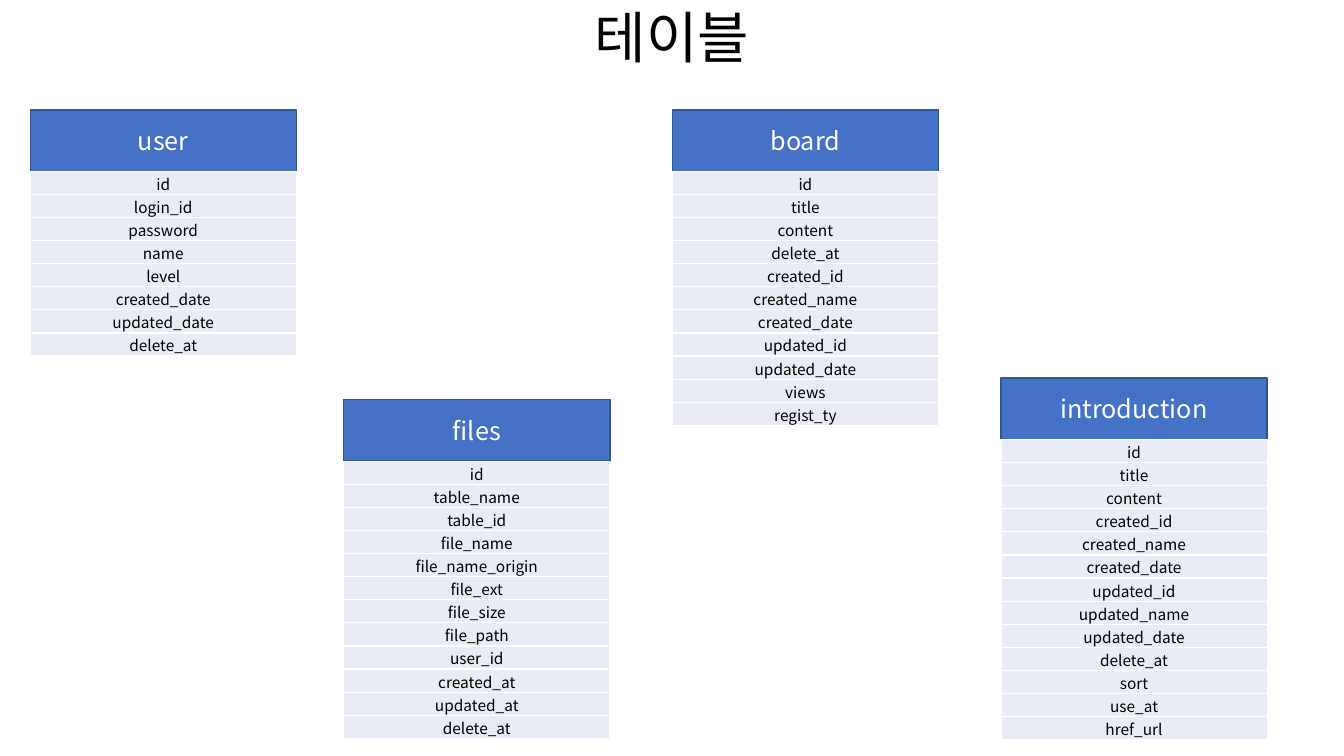
from dataclasses import dataclass

from lxml.etree import SubElement
from pptx import Presentation
from pptx.dml.color import RGBColor
from pptx.enum.shapes import MSO_SHAPE as Shape
from pptx.enum.text import MSO_ANCHOR as Anchor, PP_ALIGN as Align
from pptx.oxml.ns import qn
from pptx.util import Inches, Pt

FONT = "Noto Sans CJK KR"
WIDTH, HEIGHT = Inches(13.33), Inches(7.5)

# Shares of the slide, in percent
CARD_WIDTH = 19.8
HEADER_HEIGHT = 8.13
ROW_HEIGHT = 3.06


@dataclass
class Entity:
    name: str
    left: float
    top: float
    fields: list[str]


ENTITIES = [
    Entity("board", 50.03, 14.53, [
        "id", "title", "content", "delete_at", "created_id", "created_name",
        "created_date", "updated_id", "updated_date", "views", "regist_ty"]),
    Entity("introduction", 74.48, 50, [
        "id", "title", "content", "created_id", "created_name", "created_date",
        "updated_id", "updated_name", "updated_date", "delete_at", "sort",
        "use_at", "href_url"]),
    Entity("files", 25.58, 52.87, [
        "id", "table_name", "table_id", "file_name", "file_name_origin",
        "file_ext", "file_size", "file_path", "user_id", "created_at",
        "updated_at", "delete_at"]),
    Entity("user", 2.25, 14.53, [
        "id", "login_id", "password", "name", "level", "created_date",
        "updated_date", "delete_at"]),
]


def across(share: float) -> int:
    return round(WIDTH * share / 100)


def down(share: float) -> int:
    return round(HEIGHT * share / 100)


def rgb(color: str) -> RGBColor:
    return RGBColor.from_string(color)


def write(frame, text: str, *, size: float, color: str = "000000") -> None:
    """Put one centred line in a text frame, for Latin and Korean letters alike."""
    para = frame.paragraphs[0]
    para.alignment = Align.CENTER
    span = para.add_run()
    span.text = text
    span.font.size = Pt(size)
    span.font.name = FONT
    span.font.color.rgb = rgb(color)
    SubElement(span.font._element, qn("a:ea"), typeface=FONT)


def border_cell(cell, color: str, width: float) -> None:
    properties = cell._tc.get_or_add_tcPr()
    for position, side in enumerate(("lnL", "lnR", "lnT", "lnB")):
        line = SubElement(properties, qn(f"a:{side}"), w=str(Pt(width)))
        fill = SubElement(line, qn("a:solidFill"))
        SubElement(fill, qn("a:srgbClr"), val=color)
        properties.insert(position, line)


def add_title(page, text: str) -> None:
    box = page.shapes.add_textbox(0, down(-0.4), WIDTH, down(10.27))
    box.text_frame.word_wrap = True
    box.text_frame.vertical_anchor = Anchor.MIDDLE
    write(box.text_frame, text, size=40)


def add_header(page, entity: Entity) -> None:
    header = page.shapes.add_shape(
        Shape.RECTANGLE, across(entity.left), down(entity.top),
        across(CARD_WIDTH), down(HEADER_HEIGHT))
    header.shadow.inherit = False
    header.fill.solid()
    header.fill.fore_color.rgb = rgb("4472C4")
    header.line.color.rgb = rgb("325491")
    header.line.width = Pt(1)
    header.text_frame.vertical_anchor = Anchor.MIDDLE
    write(header.text_frame, entity.name, size=18, color="FFFFFF")


def add_fields(page, entity: Entity) -> None:
    count = len(entity.fields)
    table = page.shapes.add_table(
        count, 1, across(entity.left), down(entity.top + HEADER_HEIGHT),
        across(CARD_WIDTH), down(ROW_HEIGHT * count)).table
    table.first_row = table.horz_banding = False
    for row, field in enumerate(entity.fields):
        table.rows[row].height = down(ROW_HEIGHT)
        cell = table.cell(row, 0)
        cell.margin_left = cell.margin_right = cell.margin_top = Inches(0.01)
        cell.margin_bottom = 0
        cell.vertical_anchor = Anchor.MIDDLE
        cell.fill.solid()
        cell.fill.fore_color.rgb = rgb("E9EBF5")
        border_cell(cell, "FFFFFF", 1)
        write(cell.text_frame, field, size=11)


def main() -> None:
    deck = Presentation()
    deck.slide_width, deck.slide_height = WIDTH, HEIGHT
    page = deck.slides.add_slide(deck.slide_layouts[6])
    add_title(page, "테이블")
    for entity in ENTITIES:
        add_header(page, entity)
    for entity in ENTITIES:
        add_fields(page, entity)
    deck.save("out.pptx")


if __name__ == "__main__":
    main()
